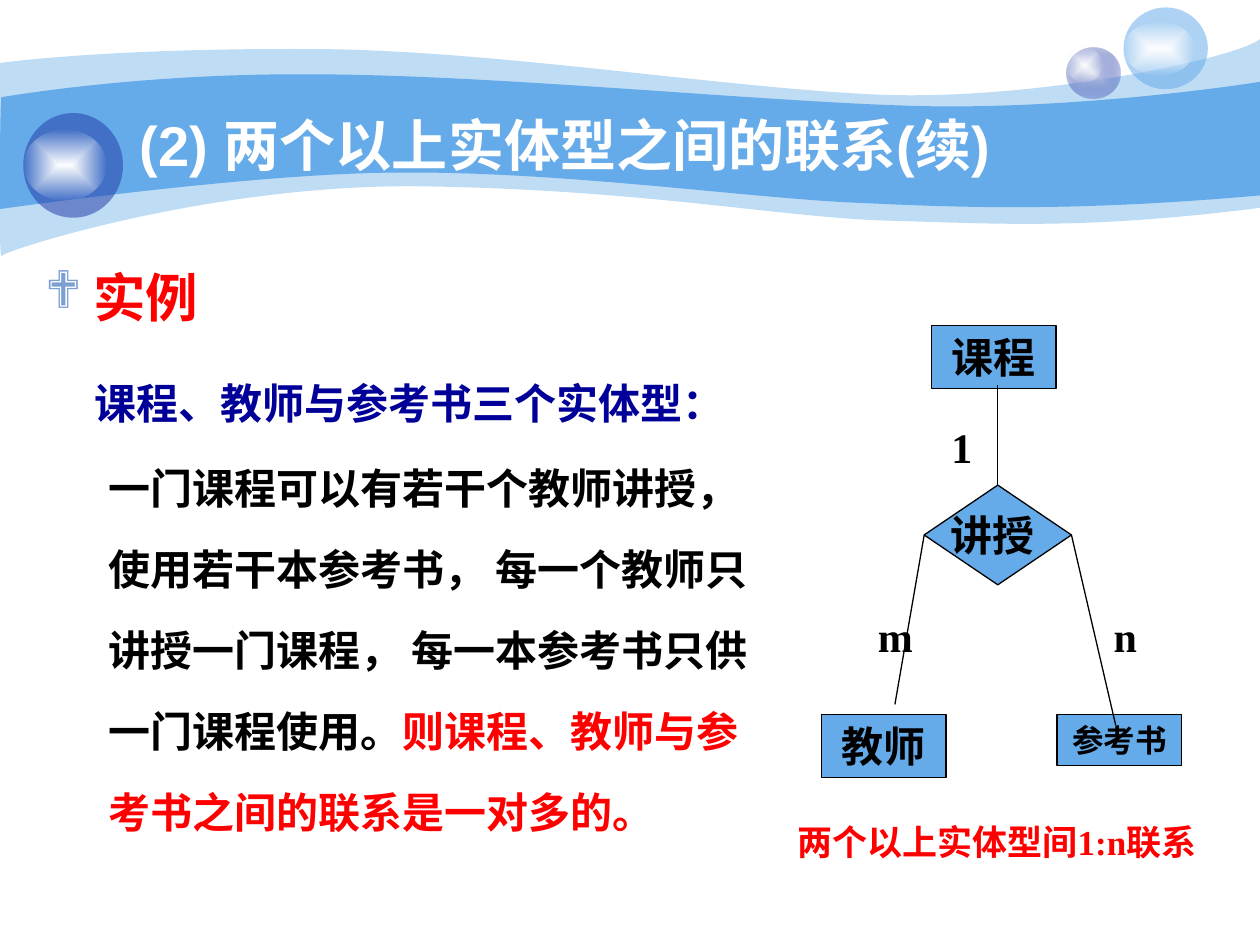
from lxml import etree
from pptx import Presentation
from pptx.dml.color import RGBColor
from pptx.enum.shapes import MSO_CONNECTOR as LINK, MSO_SHAPE as KIND
from pptx.enum.text import MSO_ANCHOR as ANCHOR, PP_ALIGN as ALIGN
from pptx.oxml import parse_xml
from pptx.oxml.ns import nsdecls, qn
from pptx.util import Cm, Pt

SKY, NAVY, BLACK, WHITE, RED = "65AAE9", "233DA9", "000000", "FFFFFF", "FF0000"
SHINE = ((WHITE, 100), (WHITE, 0))


def color(code):
    return RGBColor.from_string(code)


def bend(lines):
    """Turn each three line segments into one cubic curve."""
    for i in range(0, len(lines), 3):
        first, *rest = lines[i:i + 3]
        cubic = etree.Element(qn("a:cubicBezTo"))
        first.addprevious(cubic)
        for seg in (first, *rest):
            cubic.append(seg[0])
            seg.getparent().remove(seg)


class Deck:
    """Holds the style and the current slide; lengths are in centimetres."""

    def __init__(self):
        self.prs = Presentation()
        self.prs.slide_width, self.prs.slide_height = Cm(25.4), Cm(19.05)
        self.slide = self.prs.slides.add_slide(self.prs.slide_layouts[6])
        self.shapes = self.slide.shapes
        self.sans, self.serif = "Arial", "Times New Roman"

    def paint(self, shape, fill, alpha=100):
        shape.shadow.inherit = False
        shape.line.fill.background()
        shape.fill.solid()
        shape.fill.fore_color.rgb = color(fill)
        if alpha < 100:
            tint = shape.fill._xPr.find(qn("a:solidFill"))[0]
            etree.SubElement(tint, qn("a:alpha"), val=str(alpha * 1000))

    def wave(self, top, low, alpha=100):
        """Draw a band between two chains of cubic curves."""
        pts = [(Cm(x), Cm(y)) for x, y in top + low]
        pen = self.shapes.build_freeform(*pts[0], scale=1.0)
        pen.add_line_segments(pts[1:], close=True)
        item = pen.convert_to_shape()
        lines = list(item._element.iter(qn("a:lnTo")))
        edge = len(top) - 1
        bend(lines[:edge])
        bend(lines[edge + 1:])
        self.paint(item, SKY, alpha)

    def shape(self, kind, box, fill, alpha=100):
        item = self.shapes.add_shape(kind, *map(Cm, box))
        self.paint(item, fill, alpha)
        return item

    def glow(self, box, stops):
        """Draw an ellipse that fades from its middle to its rim."""
        item = self.shape(KIND.OVAL, box, WHITE)
        marks = "".join(
            f'<a:gs pos="{i * 100000}"><a:srgbClr val="{c}">'
            f'<a:alpha val="{a * 1000}"/></a:srgbClr></a:gs>'
            for i, (c, a) in enumerate(stops))
        fade = parse_xml(
            f'<a:gradFill {nsdecls("a")} rotWithShape="1"><a:gsLst>{marks}</a:gsLst>'
            '<a:path path="rect"><a:fillToRect l="50000" t="50000" r="50000" '
            'b="50000"/></a:path></a:gradFill>')
        prop = item.fill._xPr
        prop.replace(prop.find(qn("a:solidFill")), fade)

    def run(self, para, text, size, ink, font):
        run = para.add_run()
        run.text = text
        run.font.size, run.font.bold, run.font.name = Pt(size), True, font
        run.font.color.rgb = color(ink)

    def text(self, box, text, size, ink=BLACK, font=None, align=ALIGN.LEFT,
             anchor=ANCHOR.TOP):
        frame = self.shapes.add_textbox(*map(Cm, box)).text_frame
        frame.word_wrap, frame.vertical_anchor = True, anchor
        para = frame.paragraphs[0]
        para.alignment = align
        self.run(para, text, size, ink, font or self.serif)

    def node(self, kind, box, text, size=24, anchor=ANCHOR.TOP, wrap=True):
        item = self.shape(kind, box, SKY)
        item.line.color.rgb, item.line.width = color(BLACK), Pt(0.75)
        frame = item.text_frame
        frame.word_wrap, frame.vertical_anchor = wrap, anchor
        para = frame.paragraphs[0]
        para.alignment = ALIGN.CENTER
        self.run(para, text, size, BLACK, self.serif)

    def line(self, *ends):
        item = self.shapes.add_connector(LINK.STRAIGHT, *map(Cm, ends))
        item.line.color.rgb, item.line.width = color(BLACK), Pt(0.75)
        etree.SubElement(item._element.spPr, qn("a:effectLst"))

    def body(self, box, rows):
        """Add paragraphs given as (indent, space before, bullet, runs)."""
        frame = self.shapes.add_textbox(*map(Cm, box)).text_frame
        frame.word_wrap = True
        for i, (left, gap, mark, runs) in enumerate(rows):
            para = frame.add_paragraph() if i else frame.paragraphs[0]
            prop = para._p.get_or_add_pPr()
            prop.set("marL", str(Cm(left)))
            prop.set("indent", str(-Cm(left) if mark else 0))
            if mark:
                tint = etree.SubElement(prop, qn("a:buClr"))
                etree.SubElement(tint, qn("a:srgbClr"), val="7DA0D3")
                etree.SubElement(prop, qn("a:buFont"), typeface="Wingdings")
                etree.SubElement(prop, qn("a:buChar"), char=mark)
            para.line_spacing, para.space_before = 1.4, Pt(gap)
            for text, size, ink in runs:
                self.run(para, text, size, ink, self.sans)


def main():
    deck = Deck()
    deck.wave([(0, 1.27), (0.61, 1.19), (2.72, 0.97), (6.27, 0.99), (9.8, 0.99),
               (14.61, 1.78), (17.75, 1.91), (20.88, 2.03), (24.89, 1.19), (25.4, 0.79)],
              [(25.4, 4.19), (21.79, 4.65), (19.99, 4.5), (17.91, 4.45), (15.8, 4.39),
               (13.08, 3.84), (8.71, 3.76), (4.37, 3.66), (0.1, 5.05), (0.03, 5.16),
               (-0.03, 5.28), (0, 1.9), (0, 1.27)], 41)
    deck.wave([(0.03, 1.96), (0.05, 1.96), (2.79, 1.47), (6.3, 1.5), (9.8, 1.5),
               (15.11, 2.03), (18.24, 2.13), (21.36, 2.24), (24.79, 1.75), (25.4, 1.65)],
              [(25.4, 3.94), (21.67, 4.27), (19.43, 4.19), (17.32, 4.09), (15.21, 4.01),
               (11.35, 3.45), (8.05, 3.48), (5.16, 3.48), (-0.05, 4.22), (-0.03, 4.22),
               (0, 4.22), (0, 1.96), (0.03, 1.96)])

    deck.glow((21.51, 0.97, 1.07, 1.02), (("C7CEE9", 100), (NAVY, 31)))
    deck.glow((21.51, 0.97, 0.71, 0.69), SHINE)
    for ball, shine, fill in (
            ((22.65, 0.15, 1.7, 1.65), (22.65, 0.43, 1.42, 1.09), SKY),
            ((0.47, 2.28, 2.01, 2.11), (0.47, 2.62, 1.68, 1.42), NAVY)):
        deck.shape(KIND.OVAL, ball, fill, 53)
        deck.glow(shine, SHINE)

    deck.text((2.57, 2.13, 20.52, 1.57), "(2) 两个以上实体型之间的联系(续)", 32,
              WHITE, deck.sans, anchor=ANCHOR.MIDDLE)
    lines = (
        [("一门课程可以有若干个教师讲授，", 24, BLACK)],
        [("使用若干本参考书， 每一个教师只", 24, BLACK)],
        [("讲授一门课程， 每一本参考书只供", 24, BLACK)],
        [("一门课程使用。", 24, BLACK), ("则课程、教师与参", 24, RED)],
        [("考书之间的联系是一对多的。", 24, RED)],
    )
    deck.body((0.66, 4.71, 15.29, 12.42), [
        (0.97, 0, "❖", [("实例", 30, RED)]),
        (1, 17, None, [("课程、教师与参考书三个实体型：", 24, "000099")]),
        *((1.27, 6 if i else 8, None, runs) for i, runs in enumerate(lines))])

    deck.node(KIND.RECTANGLE, (18.78, 6.56, 2.51, 1.27), "课程")
    deck.node(KIND.DIAMOND, (18.63, 9.78, 2.97, 2.01), "讲授 ",
              anchor=ANCHOR.MIDDLE, wrap=False)
    deck.node(KIND.RECTANGLE, (16.56, 14.41, 2.51, 1.27), "教师")
    deck.node(KIND.RECTANGLE, (21.31, 14.41, 2.51, 1.02), "参考书", 18)
    deck.line(20.11, 9.78, 20.11, 7.77)
    deck.line(18.63, 10.79, 18.04, 14.2)
    deck.line(21.6, 10.79, 22.49, 14.61)
    for left, top, label in ((18.93, 8.38, "1"), (17.45, 12.19, "m"), (22.2, 12.19, "n")):
        deck.text((left, top, 0.74, 2.29), label, 24)
    deck.text((15.7, 16.41, 8.79, 1.96), "两个以上实体型间1:n联系", 20, RED,
              align=ALIGN.CENTER)
    deck.prs.save("out.pptx")


if __name__ == "__main__":
    main()
